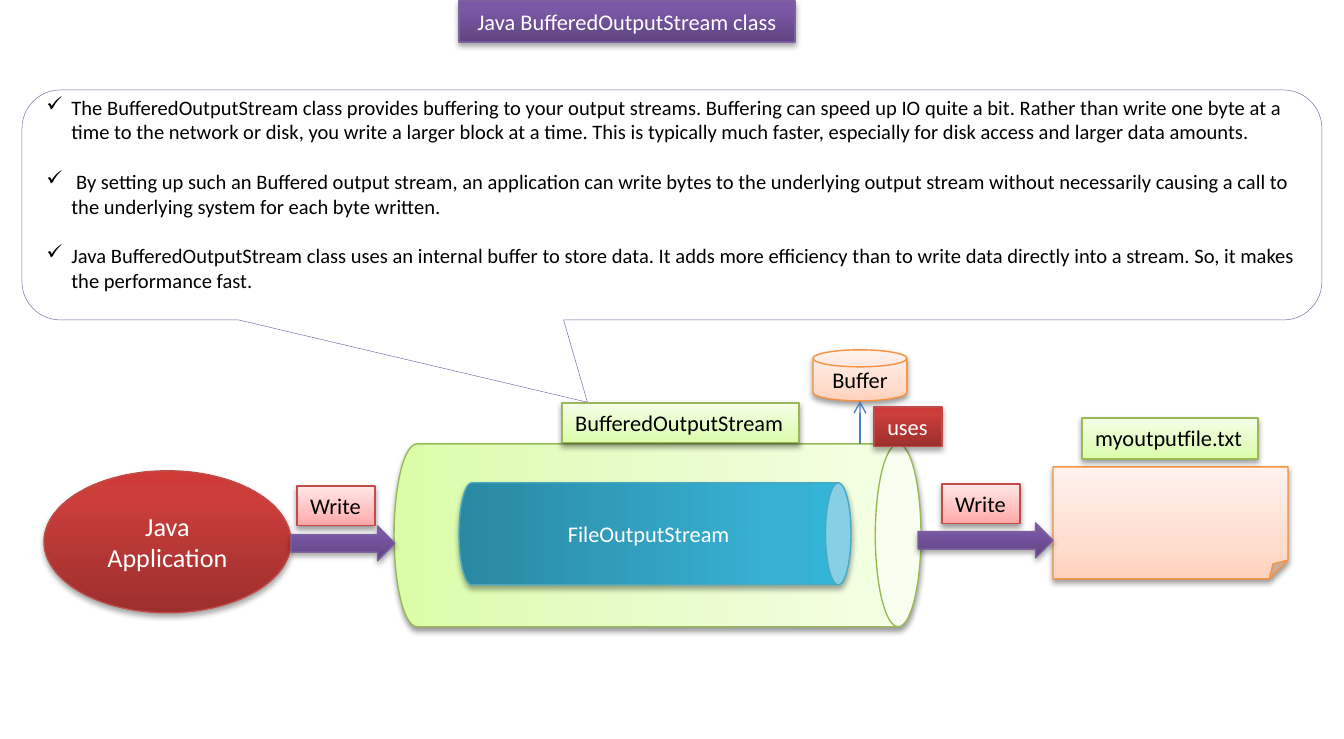
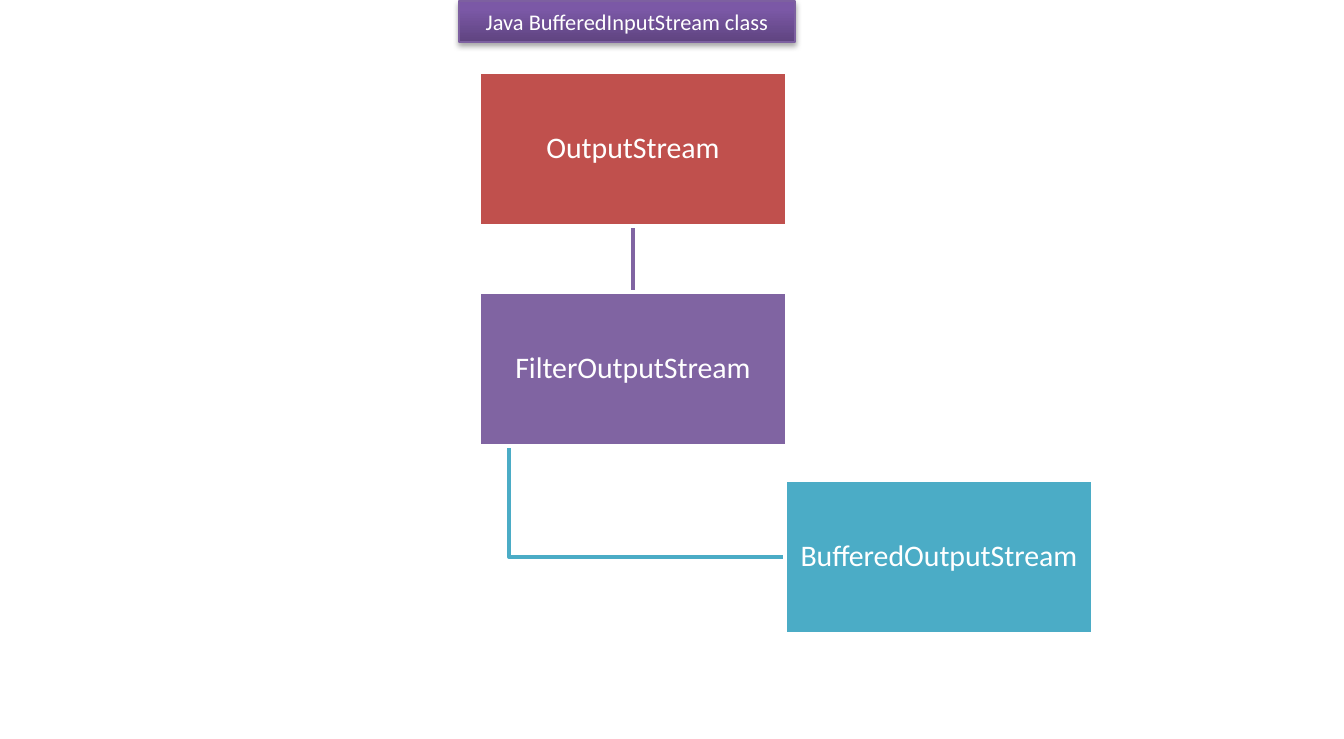
from dataclasses import dataclass

from pptx import Presentation
from pptx.dml.color import RGBColor
from pptx.enum.shapes import MSO_CONNECTOR, MSO_SHAPE
from pptx.enum.text import MSO_ANCHOR, MSO_AUTO_SIZE, PP_ALIGN
from pptx.oxml import parse_xml
from pptx.oxml.ns import nsdecls, qn
from pptx.oxml.xmlchemy import OxmlElement
from pptx.util import Emu, Inches, Pt

PX_PER_INCH = 134.4


def px(length):
    return Emu(round(length * 914400 / PX_PER_INCH))


# Shared look
@dataclass(frozen=True)
class Glow:
    """A vertical gradient, from the bottom up, with its outline and shadow."""
    stops: tuple
    line: str
    shadow_alpha: int
    shadow_distance: float


def deep(line, *colours):
    return Glow(tuple(zip((0, 80, 100), colours)), line, 35, 1.8)


def pale(line, *colours):
    return Glow(tuple(zip((0, 35, 100), colours)), line, 38, 1.6)


@dataclass(frozen=True)
class Theme:
    font: str = "Calibri"
    white: str = "FFFFFF"
    black: str = "000000"
    red: str = "C0504D"
    purple: str = "8064A2"
    teal: str = "4BACC6"
    arrow: str = "4B7EBC"
    deep_purple: Glow = deep("7D60A0", "5F4480", "7B58A6", "7C57A8")
    deep_red: Glow = deep("BF4C48", "9C2F2D", "CB3E3A", "CE3B37")
    deep_teal: Glow = deep("46AAC5", "2A88A2", "37B1D2", "34B4D6")
    pale_green: Glow = pale("98B955", "DAFDA7", "E4FCC2", "F5FFE7")
    pale_orange: Glow = pale("F69240", "FFD2BD", "FFDED0", "FFF2ED")
    pale_red: Glow = pale("BF4C48", "FFA6A5", "FFC0BF", "FFE7E7")
    body_size: int = 11
    label_size: int = 12
    actor_size: int = 14
    class_size: int = 16


THEME = Theme()
TITLE_FRAME = (459, 1, 336, 41)


# Text
def write_text(shape, *lines, size=THEME.label_size, colour=THEME.black,
               align=PP_ALIGN.CENTER, anchor=MSO_ANCHOR.MIDDLE, wrap=True,
               bullet=None, gap=0, line_spacing=None):
    frame = shape.text_frame
    frame.auto_size = MSO_AUTO_SIZE.NONE
    frame.word_wrap = wrap
    frame.vertical_anchor = anchor
    for index, line in enumerate(lines):
        para = frame.add_paragraph() if index else frame.paragraphs[0]
        para.alignment = align
        if line_spacing:
            para.line_spacing = line_spacing
        if index:
            para.space_before = Pt(gap)
        if bullet:
            add_bullet(para, bullet)
        span = para.add_run()
        span.text = line
        span.font.name = THEME.font
        span.font.size = Pt(size)
        span.font.color.rgb = RGBColor.from_string(colour)


def add_bullet(para, mark, indent=25):
    properties = para._p.get_or_add_pPr()
    properties.set("marL", str(px(indent)))
    properties.set("indent", str(-px(indent)))
    character = OxmlElement("a:buChar")
    character.set("char", mark)
    properties.append(character)


# Fills, lines and shadows
def paint(shape, fill, line, width):
    shape.shadow.inherit = False
    shape.fill.solid()
    shape.fill.fore_color.rgb = RGBColor.from_string(fill)
    set_line(shape, line, width)


def set_line(shape, colour, width):
    shape.line.color.rgb = RGBColor.from_string(colour)
    shape.line.width = Pt(width)


def paint_glow(shape, glow):
    paint(shape, THEME.white, glow.line, 0.75)
    properties = shape.element.spPr
    stops = "".join(
        f'<a:gs pos="{place * 1000}"><a:srgbClr val="{colour}"/></a:gs>'
        for place, colour in glow.stops)
    gradient = parse_xml(
        f'<a:gradFill {nsdecls("a")} rotWithShape="1"><a:gsLst>{stops}</a:gsLst>'
        '<a:lin ang="16200000" scaled="0"/></a:gradFill>')
    properties.replace(properties.find(qn("a:solidFill")), gradient)
    properties.find(qn("a:effectLst")).append(parse_xml(
        f'<a:outerShdw {nsdecls("a")} blurRad="{Pt(3.1)}" '
        f'dist="{Pt(glow.shadow_distance)}" dir="5400000" rotWithShape="0">'
        f'<a:srgbClr val="{THEME.black}">'
        f'<a:alpha val="{glow.shadow_alpha * 1000}"/></a:srgbClr></a:outerShdw>'))


# Elements
def add_title_slide(deck, title):
    slide = deck.slides.add_slide(deck.slide_layouts[5])
    box = slide.shapes.title
    box.left, box.top, box.width, box.height = map(px, TITLE_FRAME)
    paint_glow(box, THEME.deep_purple)
    write_text(box, title, colour=THEME.white, anchor=MSO_ANCHOR.TOP)
    return slide


def add_glow_shape(slide, kind, frame, glow, text=None, **text_format):
    shape = slide.shapes.add_shape(kind, *map(px, frame))
    paint_glow(shape, glow)
    if text:
        write_text(shape, text, **text_format)
    return shape


def add_label(slide, frame, glow, text, colour=THEME.black):
    add_glow_shape(slide, MSO_SHAPE.RECTANGLE, frame, glow, text, colour=colour,
                   align=PP_ALIGN.LEFT, anchor=MSO_ANCHOR.TOP, wrap=False)


def add_lying_can(slide, frame, glow, text=None, **text_format):
    left, top, width, height = frame
    shift = (width - height) / 2
    upright = (left + shift, top - shift, height, width)
    can = add_glow_shape(slide, MSO_SHAPE.CAN, upright, glow, text, **text_format)
    can.rotation = 90
    can.text_frame._txBody.bodyPr.set("vert", "vert270")


def add_line(slide, start, end, colour, width, arrow=False):
    line = slide.shapes.add_connector(
        MSO_CONNECTOR.STRAIGHT, *map(px, start + end))
    set_line(line, colour, width)
    if arrow:
        head = OxmlElement("a:tailEnd")
        head.set("type", "arrow")
        line.line._get_or_add_ln().append(head)
    line.element.spPr.append(OxmlElement("a:effectLst"))


def add_elbow(slide, points, colour, width):
    start, *rest = [tuple(map(px, point)) for point in points]
    builder = slide.shapes.build_freeform(*start)
    builder.add_line_segments(rest, close=False)
    elbow = builder.convert_to_shape()
    elbow.shadow.inherit = False
    elbow.fill.background()
    set_line(elbow, colour, width)


def add_callout(slide, frame, points):
    callout = slide.shapes.add_shape(
        MSO_SHAPE.ROUNDED_RECTANGULAR_CALLOUT, *map(px, frame))
    for index, value in enumerate((-0.065, 0.858, 0.167)):
        callout.adjustments[index] = value
    paint(callout, THEME.white, THEME.purple, 0.25)
    callout.text_frame.margin_bottom = px(29)
    write_text(callout, *points, size=THEME.body_size, align=PP_ALIGN.LEFT,
               bullet="✓", gap=13.4)


def add_class_box(slide, left, top, colour, name):
    box = slide.shapes.add_shape(
        MSO_SHAPE.RECTANGLE, *map(px, (left, top, 308, 154)))
    paint(box, colour, THEME.white, 2)
    frame = box.text_frame
    frame.margin_left = frame.margin_right = px(1)
    frame.margin_top = frame.margin_bottom = px(1)
    write_text(box, name, size=THEME.class_size, colour=THEME.white,
               line_spacing=0.9)


# Slides
def build_stream_slide(deck):
    slide = add_title_slide(deck, "Java BufferedOutputStream class")

    # Output file
    add_glow_shape(slide, MSO_SHAPE.FOLDED_CORNER, (1053, 467, 235, 112),
                   THEME.pale_orange)
    add_label(slide, (1082, 418, 176, 41), THEME.pale_green, "myoutputfile.txt")

    # Application and nested streams
    add_glow_shape(slide, MSO_SHAPE.OVAL, (44, 471, 247, 142), THEME.deep_red,
                   "Java Application", size=THEME.actor_size, colour=THEME.white)
    add_lying_can(slide, (394, 444, 527, 183), THEME.pale_green)
    add_lying_can(slide, (459, 483, 392, 102), THEME.deep_teal,
                  "FileOutputStream", colour=THEME.white)
    add_label(slide, (562, 403, 237, 40), THEME.pale_green, "BufferedOutputStream")

    # Explanation
    add_callout(slide, (22, 90, 1300, 230), (
        "The BufferedOutputStream class provides buffering to your output streams. "
        "Buffering can speed up IO quite a bit. Rather than write one byte at a time "
        "to the network or disk, you write a larger block at a time. This is "
        "typically much faster, especially for disk access and larger data amounts.",
        " By setting up such an Buffered output stream, an application can write "
        "bytes to the underlying output stream without necessarily causing a call "
        "to the underlying system for each byte written.",
        "Java BufferedOutputStream class uses an internal buffer to store data. It "
        "adds more efficiency than to write data directly into a stream. So, it "
        "makes the performance fast."))

    # Write steps
    for label_at, arrow_frame in (((942, 484), (918, 523, 135, 35)),
                                  ((297, 486), (291, 526, 104, 35))):
        add_label(slide, (*label_at, 78, 40), THEME.pale_red, "Write")
        add_glow_shape(slide, MSO_SHAPE.RIGHT_ARROW, arrow_frame, THEME.deep_purple)

    # Buffer
    add_glow_shape(slide, MSO_SHAPE.FLOWCHART_MAGNETIC_DISK, (813, 350, 94, 51),
                   THEME.pale_orange, "Buffer")
    add_line(slide, (860, 444), (860, 401), THEME.arrow, 0.75, arrow=True)
    add_label(slide, (874, 407, 68, 40), THEME.deep_red, "uses", THEME.white)


def build_hierarchy_slide(deck):
    slide = add_title_slide(deck, "Java BufferedInputStream class")
    add_elbow(slide, ((509, 447), (509, 557), (784, 557)), THEME.teal, 2)
    add_line(slide, (633, 227), (633, 292), THEME.purple, 2)
    for left, top, colour, name in (
            (479, 72, THEME.red, "OutputStream"),
            (479, 292, THEME.purple, "FilterOutputStream"),
            (785, 480, THEME.teal, "BufferedOutputStream")):
        add_class_box(slide, left, top, colour, name)


def main():
    deck = Presentation()
    deck.slide_width = Inches(10)
    deck.slide_height = Inches(5.5)
    build_stream_slide(deck)
    build_hierarchy_slide(deck)
    deck.save("out.pptx")


if __name__ == "__main__":
    main()
